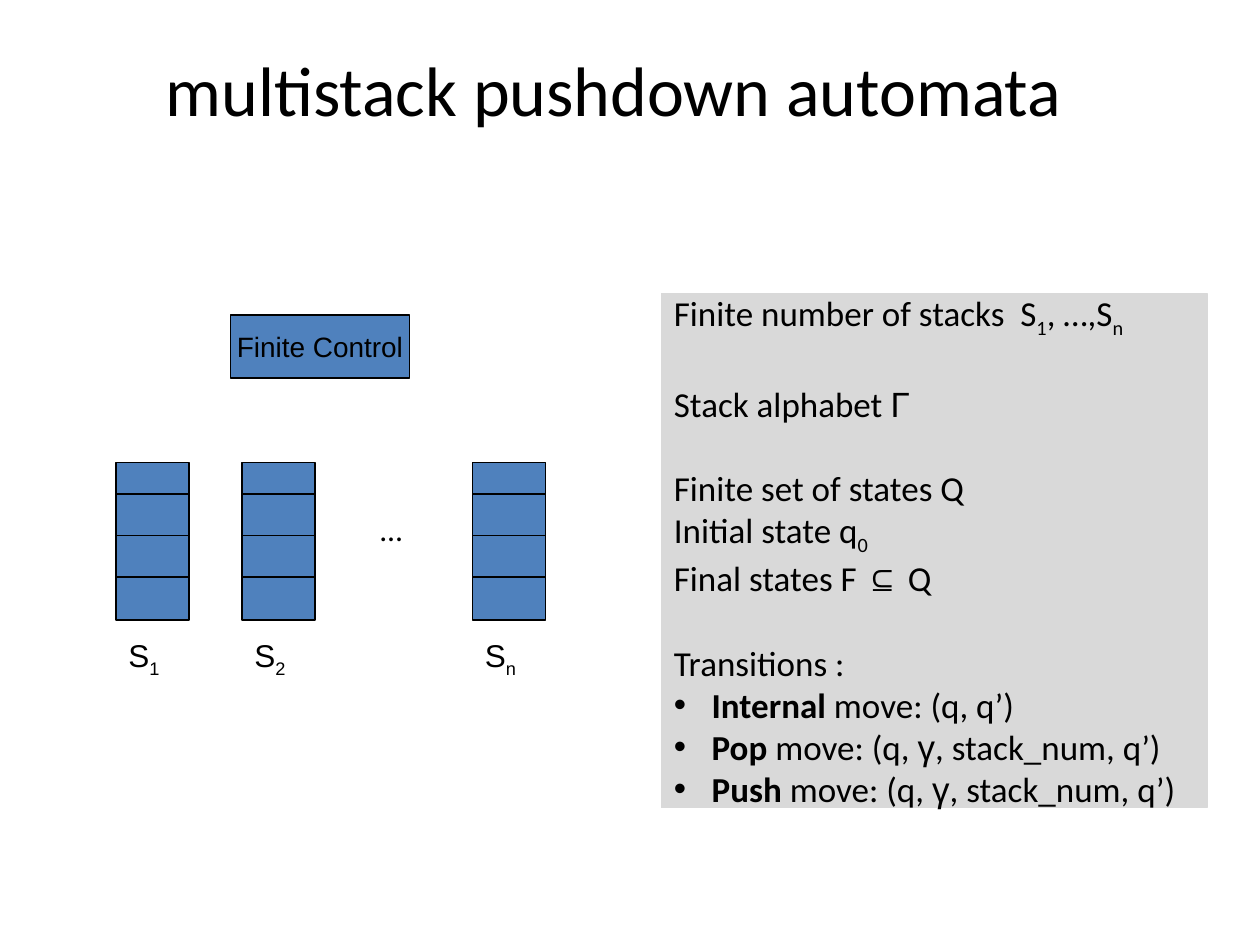
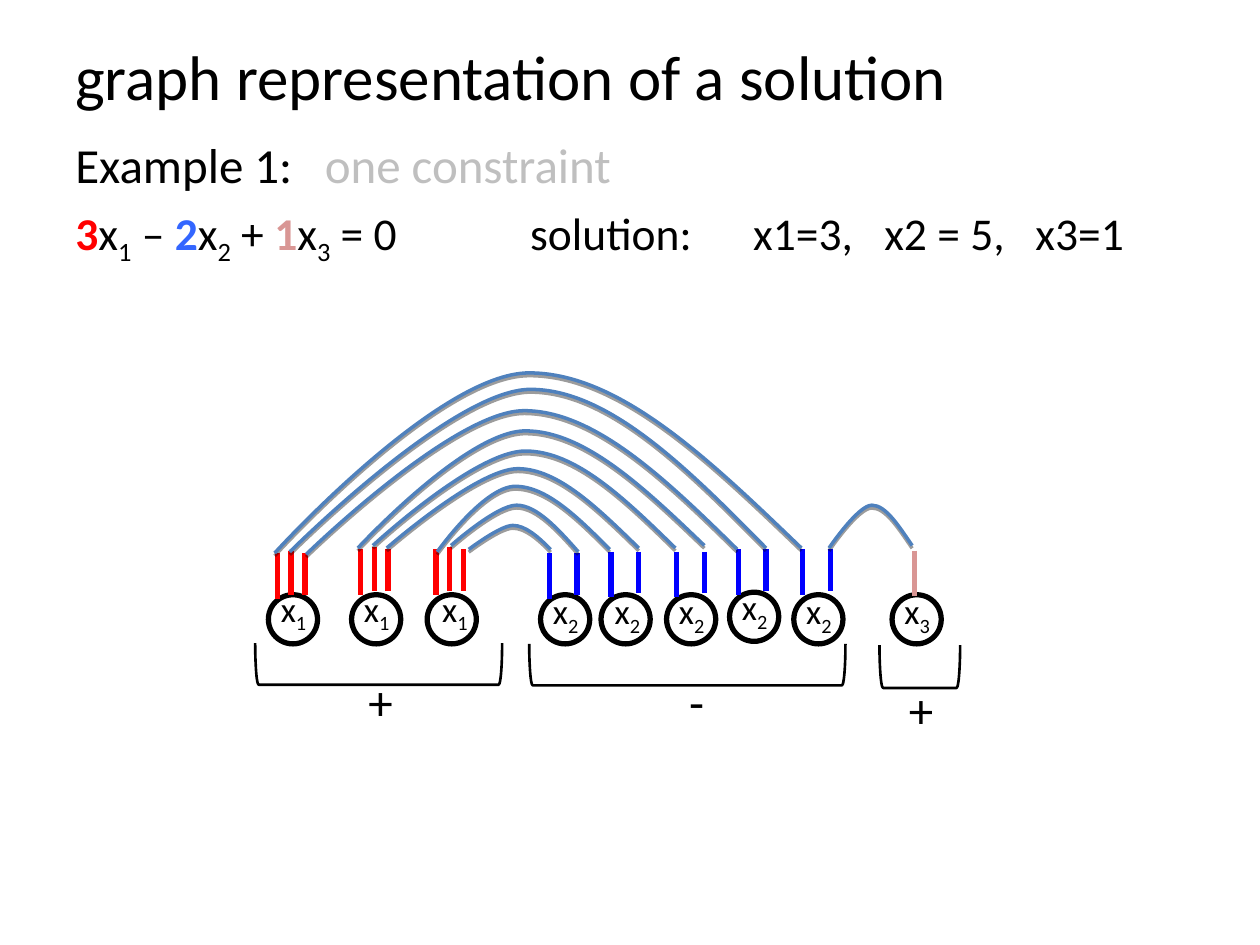
import pptx
import pptx.util
import pptx.dml.color
import pptx.enum.shapes
import pptx.enum.text
import pptx.oxml
import pptx.oxml.ns

PX = 9144  # EMU in one px, 100 px to the inch
INK = {
    "black": "000000", "blue": "4F81BD", "panel": "D9D9D9", "pale": "BFBFBF",
    "red": "FF0000", "sky": "3366FF", "rose": "D99694", "deep": "0000FF",
}
SHAPE = pptx.enum.shapes.MSO_SHAPE
ALIGN = pptx.enum.text.PP_ALIGN
MID = pptx.enum.text.MSO_ANCHOR.MIDDLE
TOP = pptx.enum.text.MSO_ANCHOR.TOP
LINE = 24.4  # height in points of one 20 pt line


def rgb(name):
    return pptx.dml.color.RGBColor.from_string(INK[name])


def node(tag, **attrs):
    item = pptx.oxml.parse_xml(f'<a:{tag} {pptx.oxml.ns.nsdecls("a")}/>')
    for key, val in attrs.items():
        item.set(key, str(val))
    return item


def low(text):
    return text, {"sub": True}


def bold(text, ink="black"):
    return text, {"bold": True, "ink": ink}


def sym(text):
    return text, {"font": "Arial"}


class Deck:
    def __init__(self):
        self.prs = pptx.Presentation()
        self.prs.slide_width, self.prs.slide_height = 1000 * PX, 750 * PX
        self.font = "Calibri"

    def page(self):
        self.slide = self.prs.slides.add_slide(self.prs.slide_layouts[6])

    def pen(self, item, ink, width):
        item.line.color.rgb = rgb(ink)
        item.line.width = pptx.util.Pt(width)

    def shape(self, kind, x, y, w, h, fill=None, ink="black", width=0.75):
        item = self.slide.shapes.add_shape(kind, x * PX, y * PX, w * PX, h * PX)
        item.shadow.inherit = False
        if fill:
            item.fill.solid()
            item.fill.fore_color.rgb = rgb(fill)
        else:
            item.fill.background()
        self.pen(item, ink, width)
        return item

    def line(self, x1, y1, x2, y2, ink="black", width=0.75):
        kind = pptx.enum.shapes.MSO_CONNECTOR.STRAIGHT
        item = self.slide.shapes.add_connector(kind, x1 * PX, y1 * PX, x2 * PX, y2 * PX)
        self.pen(item, ink, width)
        item._element.spPr.append(node("effectLst"))

    def arc(self, right, foot, mid, top, left, end):
        """Two Bezier curves from the right foot over the top to the left foot."""
        third = (right - mid) / 3
        points = [(right - third, (foot + top) / 2), (mid + third, top), (mid, top),
                  (mid - third, top), (left, end), (left, end)]
        form = self.slide.shapes.build_freeform(right, foot, scale=PX)
        form.add_line_segments(points, close=False)
        item = form.convert_to_shape()
        track = next(item._element.iter(pptx.oxml.ns.qn("a:path")))
        legs = track.findall(pptx.oxml.ns.qn("a:lnTo"))
        for i in range(0, len(legs), 3):
            curve = node("cubicBezTo")
            for leg in legs[i:i + 3]:
                curve.append(leg[0])
                track.remove(leg)
            track.append(curve)
        item.fill.background()
        self.pen(item, "blue", 2)
        item.shadow.inherit = False
        shade = node("outerShdw", blurRad=0, dist=20320, dir=5400000, rotWithShape=0)
        tint = node("srgbClr", val=INK["black"])
        tint.append(node("alpha", val=38000))
        shade.append(tint)
        item._element.spPr.find(pptx.oxml.ns.qn("a:effectLst")).append(shade)

    def frame(self, item, anchor=TOP, wrap=True):
        body = item.text_frame
        body.word_wrap = wrap
        body.vertical_anchor = anchor
        body.margin_left = body.margin_right = 10 * PX
        body.margin_top = body.margin_bottom = 5 * PX
        return body

    def box(self, x, y, w, h, anchor=TOP):
        item = self.slide.shapes.add_textbox(x * PX, y * PX, w * PX, h * PX)
        return self.frame(item, anchor)

    def para(self, body, runs, size, align=ALIGN.LEFT, gap=0, tabs=(), dot=False, font=None):
        para = body.paragraphs[0]
        if para.runs:
            para = body.add_paragraph()
        para.alignment = align
        para.space_before = pptx.util.Pt(gap)
        props = para._p.get_or_add_pPr()
        if dot:
            props.set("marL", str(30 * PX))
            props.set("indent", str(-30 * PX))
            props.append(node("buFont", typeface="Arial"))
            props.append(node("buChar", char="•"))
        if tabs:
            stops = node("tabLst")
            for stop in tabs:
                stops.append(node("tab", pos=stop * PX, algn="l"))
            props.append(stops)
        for piece in runs:
            text, look = (piece, {}) if isinstance(piece, str) else piece
            run = para.add_run()
            run.text = text
            run.font.size = pptx.util.Pt(size)
            run.font.name = look.get("font", font or self.font)
            run.font.bold = look.get("bold", False)
            run.font.color.rgb = rgb(look.get("ink", "black"))
            if look.get("sub"):
                run._r.get_or_add_rPr().set("baseline", "-25000")

    def title(self, text, x, y, w, h, size, align, anchor):
        self.para(self.box(x, y, w, h, anchor), [text], size, align)


def stacks(deck):
    deck.page()
    deck.title("multistack pushdown automata", 33, 32, 908, 125, 40, ALIGN.CENTER, TOP)

    # Stacks with their names
    for x, name in ((92, "1"), (192, "2"), (375, "n")):
        deck.shape(SHAPE.RECTANGLE, x, 367, 58, 125, "blue")
        for y in (392, 425, 458):
            deck.line(x, y, x + 58, y)
        deck.para(deck.box(x, 500, 67, 44), ["S", low(name)], 18, gap=11.2, font="Arial")
    deck.para(deck.box(292, 400, 67, 40), ["…"], 18, gap=11.2)

    # Control unit
    unit = deck.shape(SHAPE.RECTANGLE, 183, 250, 142, 50, "blue")
    deck.para(deck.frame(unit, MID, False), ["Finite Control"], 16, ALIGN.CENTER, font="Arial")

    # Definition panel
    panel = deck.shape(SHAPE.RECTANGLE, 525, 233, 433, 408, "panel", "panel")
    body = deck.frame(panel, MID)
    deck.para(body, ["Finite number of stacks\tS", low("1"), ", …,S", low("n")], 20, tabs=[275])
    for gap, runs in (
        (LINE, ["Stack alphabet ", sym("Γ")]),
        (LINE, ["Finite set of states Q"]),
        (0, ["Initial state q", low("0")]),
        (0, ["Final states F ", sym("⊆"), " Q"]),
        (LINE, ["Transitions :"]),
    ):
        deck.para(body, runs, 20, gap=gap)
    deck.para(body, [bold("Internal"), " move: (q, q’)"], 20, dot=True)
    for move in ("Pop", "Push"):
        runs = [bold(move), " move: (q, ", sym("γ"), ", stack_num, q’)"]
        deck.para(body, runs, 20, dot=True)


def graph(deck):
    deck.page()
    deck.title("graph representation of a solution", 50, 0, 900, 119, 36, ALIGN.LEFT, MID)

    # Constraint and its solution
    body = deck.box(50, 102, 900, 495)
    deck.para(body, ["Example 1:\t", ("one constraint", {"ink": "pale"})], 28, gap=7, tabs=[198])
    deck.para(body, [
        bold("3", "red"), "x", low("1"), " – ", bold("2", "sky"), "x", low("2"), " + ",
        bold("1", "rose"), "x", low("3"), " = 0\tsolution:\tx1=3,\tx2 = 5,\tx3=1",
    ], 26, gap=6.5, tabs=[361, 538, 642, 762])

    # Brackets with signs: left, top, width, depth, sign, sign left, sign top
    for x, y, w, h, sign, left, top in (
        (203, 511, 196, 33, "+", 204, 528),
        (420, 511, 251, 33, "-", 455, 528),
        (698, 512, 64, 34, "+", 633, 534),
    ):
        item = deck.shape(SHAPE.RIGHT_BRACKET, x + (w - h) // 2, y + (h - w) // 2, h, w, width=1.5)
        item.rotation = 90
        deck.para(deck.box(left, top, 196, 57), [sign], 28, ALIGN.CENTER)

    # Nodes: index, circle left and top, label left and top, first stub left and top
    stubs = {1: (3, 11, "red"), 2: (2, 22, "deep"), 3: (1, 0, "rose")}
    for index, x, y, left, top, stub, head in (
        (1, 213, 472, 211, 461, 220, 439),
        (1, 279, 472, 277, 461, 286, 436),
        (1, 339, 472, 339, 461, 346, 436),
        (2, 429, 472, 427, 463, 436, 439),
        (2, 477, 472, 476, 463, 485, 438),
        (2, 529, 472, 527, 463, 537, 438),
        (2, 579, 470, 577, 460, 586, 436),
        (2, 630, 472, 628, 463, 637, 436),
        (3, 708, 472, 706, 463, 726, 437),
    ):
        deck.shape(SHAPE.OVAL, x, y, 39, 39, width=3)
        deck.para(deck.box(left, top, 44, 48), ["x", low(str(index))], 20, ALIGN.CENTER)
        count, step, ink = stubs[index]
        for i in range(count):
            rise = 2 if count == 3 and i == 1 else 0
            at = stub + i * step
            deck.line(at, head - rise, at, head + (33 if i else 36), ink, 3)

    # Arcs: right foot, top, left foot
    for arc in (
        (724, 433, 692, 401, 658, 435),
        (437, 436, 407, 417, 372, 436),
        (459, 438, 410, 401, 358, 433),
        (484, 436, 409, 386, 347, 438),
        (507, 435, 411, 372, 307, 435),
        (536, 435, 417, 358, 296, 433),
        (559, 433, 417, 342, 284, 435),
        (585, 436, 416, 326, 243, 440),
        (608, 435, 421, 309, 230, 438),
        (636, 435, 420, 296, 218, 439),
    ):
        deck.arc(*arc)


def main():
    deck = Deck()
    stacks(deck)
    graph(deck)
    deck.prs.save("out.pptx")


if __name__ == "__main__":
    main()
